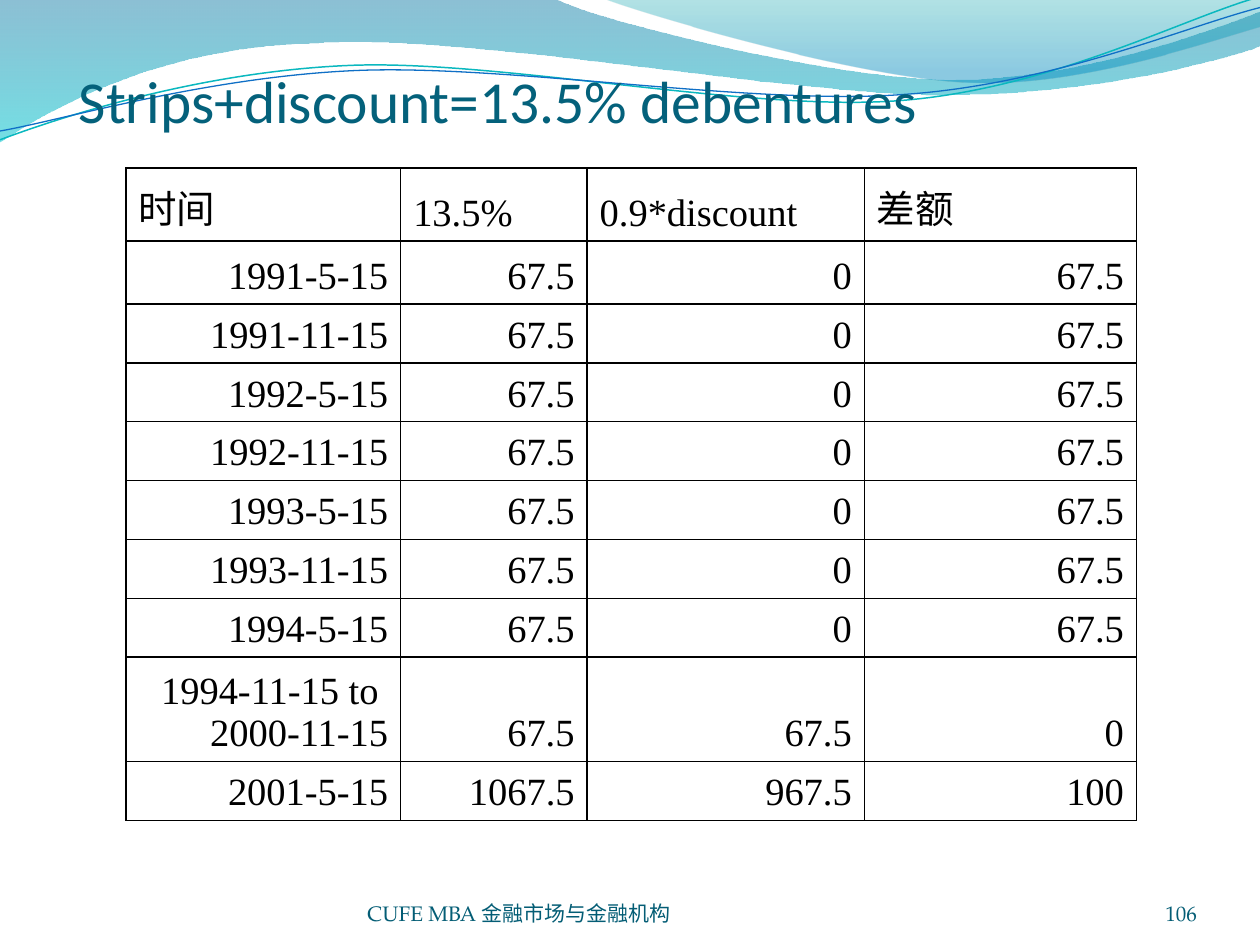
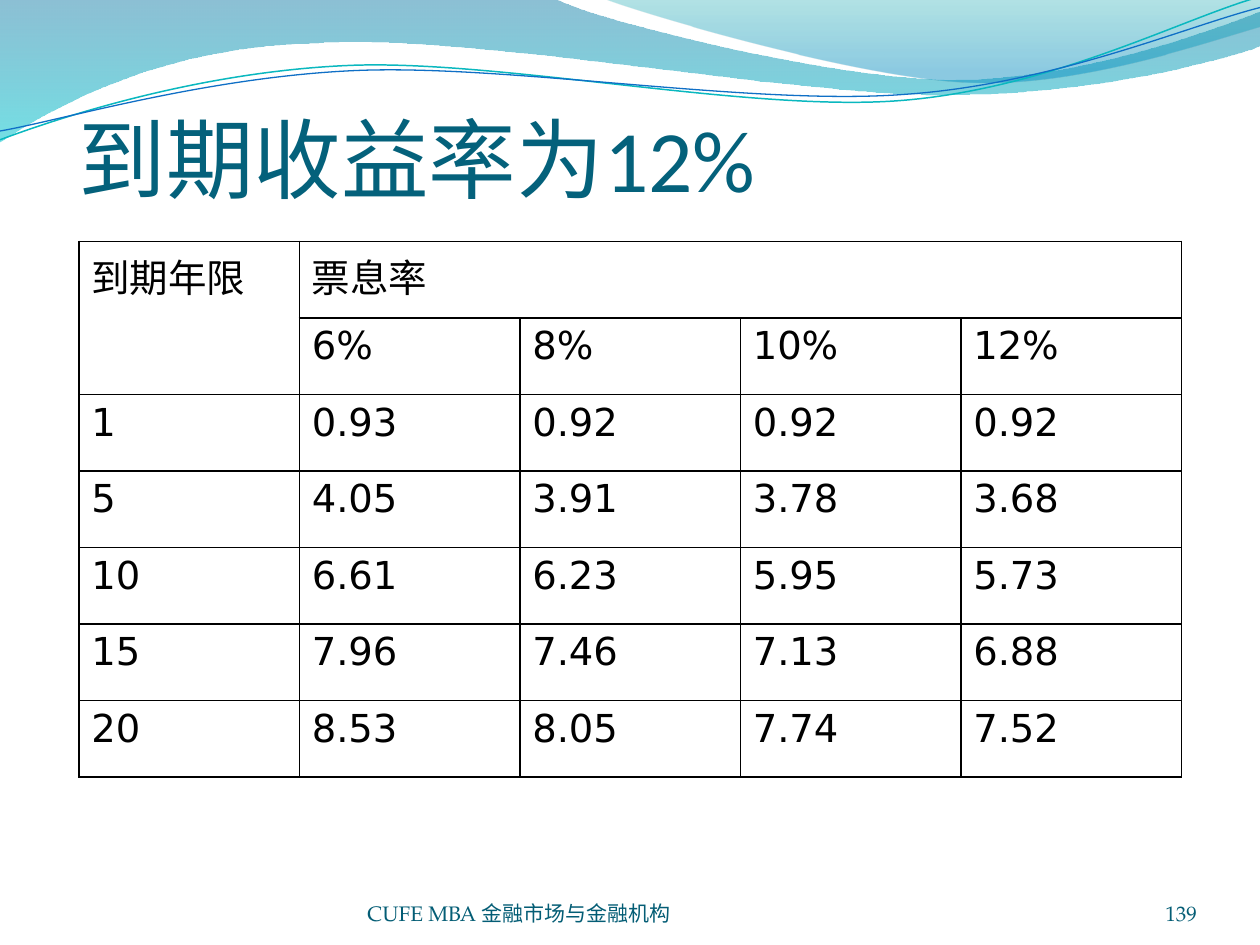
from lxml.etree import SubElement
from pptx import Presentation
from pptx.dml.color import RGBColor
from pptx.enum.text import MSO_ANCHOR as Anchor, MSO_AUTO_SIZE as AutoSize, PP_ALIGN as Align
from pptx.oxml import parse_xml
from pptx.oxml.ns import nsdecls, qn
from pptx.util import Inches, Pt

# ---- Content ----
FOOTER = "CUFE MBA 金融市场与金融机构"
STRIP_DATES = ["1991-5-15", "1991-11-15", "1992-5-15", "1992-11-15",
               "1993-5-15", "1993-11-15", "1994-5-15"]
SLIDES = [
    dict(
        title="Strips+discount=13.5% debentures", title_size=34, title_height=0.74,
        number="106", place=(1, 4 / 3), font="Times New Roman",
        anchor=Anchor.BOTTOM, body_align=Align.RIGHT, hanging=0.51, merges=[],
        columns=[2.18, 1.48, 2.2, 2.16],
        row_heights=[0.58, 0.5] + [0.467] * 6 + [0.83, 0.467],
        rows=[["时间", "13.5%", "0.9*discount", "差额"]]
        + [[date, "67.5", "0", "67.5"] for date in STRIP_DATES]
        + [["1994-11-15 to \n2000-11-15", "67.5", "67.5", "0"],
           ["2001-5-15", "1067.5", "967.5", "100"]],
    ),
    dict(
        title="到期收益率为12%", title_size=50, title_height=4 / 3,
        number="139", place=(5 / 8, 23 / 12), font="DejaVu Sans",
        anchor=Anchor.TOP, body_align=Align.LEFT, hanging=0,
        merges=[((0, 0), (1, 0)), ((0, 1), (0, 4))],
        columns=[1.75] * 5, row_heights=[4.25 / 7] * 7,
        rows=[["到期年限", "票息率", "", "", ""],
              ["", "6%", "8%", "10%", "12%"],
              ["1", "0.93", "0.92", "0.92", "0.92"],
              ["5", "4.05", "3.91", "3.78", "3.68"],
              ["10", "6.61", "6.23", "5.95", "5.73"],
              ["15", "7.96", "7.46", "7.13", "6.88"],
              ["20", "8.53", "8.05", "7.74", "7.52"]],
    ),
]

# ---- Shared look ----
COLORS = dict(title="04617B", footer="045D75", ink="000000",
              deep="0074A1", aqua="00C6CF", teal="00A1A9", sky="008BBF",
              teal_line="0AB8BF", blue_line="0F6FC6")
FOOTER_FONT = "TeX Gyre Pagella"

# Each wave is a list of points: a pair is a corner, a six-tuple is a Bézier curve
BANDS = [
    dict(points=[(0, 0), (4.4, -0.01), (4.76, 0.17, 6.64, 0.63, 7.58, 0.63),
                 (8.53, 0.63, 9.58, 0.26, 10, 0.09), (10.01, 0.36),
                 (9.83, 0.44, 8.7, 0.76, 7.46, 0.75),
                 (6.22, 0.75, 3.82, 0.28, 2.57, 0.34),
                 (1.29, 0.36, 0.46, 0.83, -0.01, 1.13), (0, 0)],
         stops=[(0, "deep", 45), (1, "aqua", 55)]),
    dict(points=[(4.79, -0.01), (5.09, 0.11, 6.82, 0.62, 7.69, 0.65),
                 (8.56, 0.69, 9.61, 0.32, 10, 0.21), (10, 0), (4.79, -0.01)],
         stops=[(0, "teal", 30), (0.8, "sky", 45)]),
]
STRANDS = [
    dict(points=[(0, 1.11), (0.48, 0.93, 1.58, 0.57, 2.77, 0.52),
                 (3.95, 0.47, 5.93, 0.89, 7.13, 0.8),
                 (8.33, 0.71, 9.38, 0.15, 9.98, -0.02)],
         color="teal_line", width=0.85),
    dict(points=[(0, 1.04), (0.47, 0.96, 1.64, 0.61, 2.83, 0.56),
                 (4.03, 0.51, 5.97, 0.84, 7.17, 0.75),
                 (8.36, 0.67, 9.41, 0.21, 10, 0.06)],
         color="blue_line", width=0.75),
]


def rgb(name):
    return RGBColor.from_string(COLORS[name])


def write(frame, text, size, font, color, align=Align.LEFT, hanging=0):
    for i, line in enumerate(text.split("\n")):
        paragraph = frame.add_paragraph() if i else frame.paragraphs[0]
        paragraph.alignment = align
        if hanging:
            properties = paragraph._p.get_or_add_pPr()
            properties.set("marL", str(Inches(hanging)))
            properties.set("indent", str(-Inches(hanging)))
        run = paragraph.add_run()
        run.text = line
        run.font.size, run.font.name = Pt(size), font
        run.font.color.rgb = rgb(color)


def settle(frame, top=0):
    """Anchor a frame's text at the bottom, with no side margins."""
    frame.word_wrap, frame.auto_size = True, AutoSize.NONE
    frame.vertical_anchor = Anchor.BOTTOM
    frame.margin_left = frame.margin_right = frame.margin_bottom = 0
    frame.margin_top = Inches(top)


# ---- Waves ----
def draw_wave(slide, points, closed):
    """Lay out every knot as a corner, then join each curve's three into a Bézier."""
    first, *rest = points
    knots = [tuple(map(Inches, point[i:i + 2]))
             for point in rest for i in range(0, len(point), 2)]
    builder = slide.shapes.build_freeform(*map(Inches, first))
    builder.add_line_segments(knots, close=closed)
    wave = builder.convert_to_shape()
    wave.shadow.inherit = False
    corners = wave.element.iter(qn("a:lnTo"))
    corners = iter(list(corners))
    for point in rest:
        corner = next(corners)
        if len(point) == 6:
            corner.addprevious(curve := parse_xml(f'<a:cubicBezTo {nsdecls("a")}/>'))
            for part in (corner, next(corners), next(corners)):
                curve.append(part[0])
                part.getparent().remove(part)
    return wave


def add_waves(slide):
    """Draw the waves and hand them to the master, so every slide shows them."""
    waves = []
    for band in BANDS:
        wave = draw_wave(slide, band["points"], closed=True)
        wave.line.fill.background()
        wave.fill.gradient()
        wave.fill.gradient_angle = 270
        for stop, (position, color, _) in zip(wave.fill.gradient_stops, band["stops"]):
            stop.position, stop.color.rgb = position, rgb(color)
        for tint, (_, _, opacity) in zip(wave.element.iter(qn("a:srgbClr")), band["stops"]):
            SubElement(tint, qn("a:alpha")).set("val", str(opacity * 1000))
        waves.append(wave)
    for strand in STRANDS:
        wave = draw_wave(slide, strand["points"], closed=False)
        wave.fill.background()
        wave.line.color.rgb, wave.line.width = rgb(strand["color"]), Pt(strand["width"])
        waves.append(wave)
    backdrop = slide.slide_layout.slide_master.shapes.element
    for position, wave in enumerate(waves, start=2):
        backdrop.insert(position, wave.element)


# ---- Slide parts ----
def add_title(slide, text, size, height):
    title = slide.shapes.title
    title.left, title.top, title.width, title.height = map(
        Inches, (5 / 8, 1 / 3, 8.75, height))
    settle(title.text_frame, top=0.05)
    write(title.text_frame, text, size=size, font="Calibri", color="title")


def add_footer(slide, text, left, width, align):
    footer = slide.shapes.add_textbox(*map(Inches, (left, 6.95, width, 0.4)))
    settle(footer.text_frame)
    write(footer.text_frame, text, size=12, font=FOOTER_FONT, color="footer", align=align)


def rule_cell(cell):
    cell.fill.background()
    properties = cell._tc.get_or_add_tcPr()
    for i, side in enumerate(("lnL", "lnR", "lnT", "lnB")):
        properties.insert(i, parse_xml(
            f'<a:{side} {nsdecls("a")} w="{Pt(1)}"><a:solidFill>'
            f'<a:srgbClr val="{COLORS["ink"]}"/></a:solidFill></a:{side}>'))


def add_grid(slide, content):
    rows, columns, heights = content["rows"], content["columns"], content["row_heights"]
    frame = slide.shapes.add_table(len(rows), len(columns), *map(
        Inches, (*content["place"], sum(columns), sum(heights))))
    grid = frame.table
    grid.first_row = grid.horz_banding = False
    for column, width in zip(grid.columns, columns):
        column.width = Inches(width)
    for row, height in zip(grid.rows, heights):
        row.height = Inches(height)
    for r, row in enumerate(rows):
        for c, text in enumerate(row):
            cell = grid.cell(r, c)
            rule_cell(cell)
            cell.vertical_anchor = content["anchor"]
            if text:
                write(cell.text_frame, text, size=22, font=content["font"], color="ink",
                      align=content["body_align"] if r else Align.LEFT,
                      hanging=content["hanging"])
    for start, end in content["merges"]:
        grid.cell(*start).merge(grid.cell(*end))


def main():
    deck = Presentation()
    deck.slide_width, deck.slide_height = Inches(10), Inches(7.5)
    title_only = deck.slide_layouts[5]
    for i, content in enumerate(SLIDES):
        slide = deck.slides.add_slide(title_only)
        if i == 0:
            add_waves(slide)
        add_title(slide, content["title"], content["title_size"], content["title_height"])
        add_grid(slide, content)
        add_footer(slide, FOOTER, 35 / 12, 3.67, Align.LEFT)
        add_footer(slide, content["number"], 8.67, 0.83, Align.RIGHT)
    deck.save("out.pptx")


if __name__ == "__main__":
    main()
